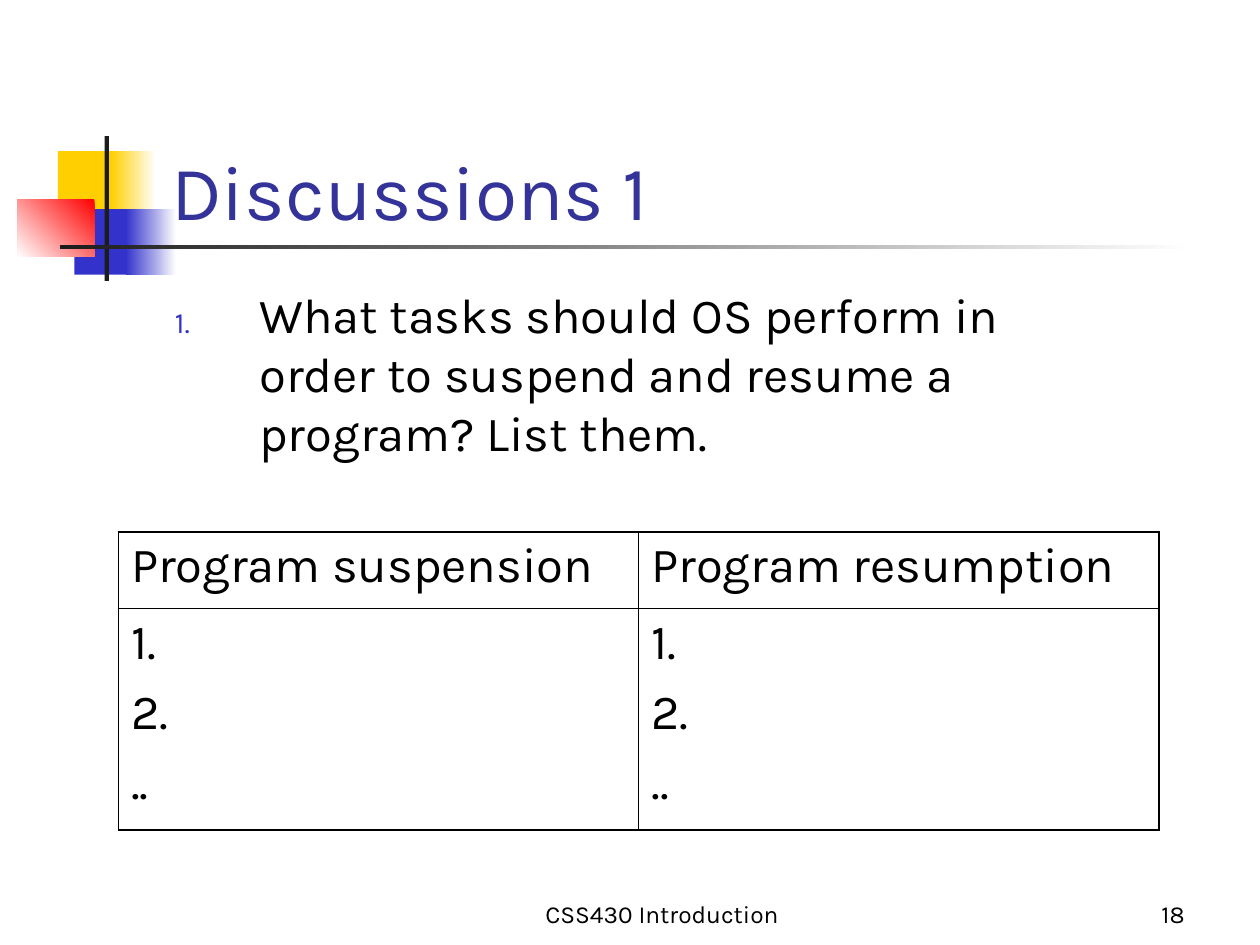
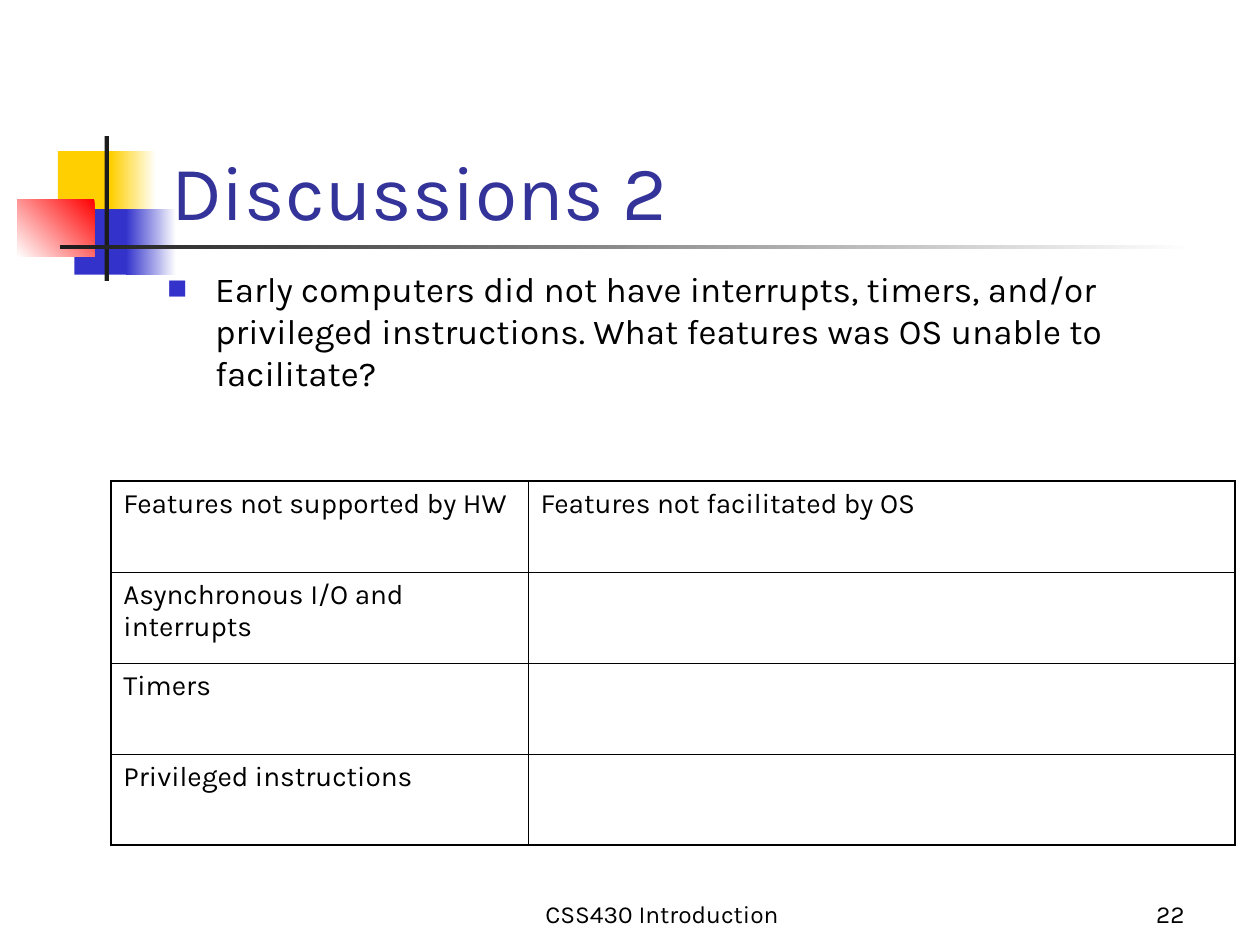
from dataclasses import dataclass
from typing import NamedTuple, Optional

from lxml.etree import SubElement
from pptx import Presentation
from pptx.dml.color import RGBColor
from pptx.enum.shapes import MSO_SHAPE as Shape
from pptx.enum.text import MSO_ANCHOR as Anchor, PP_ALIGN as Align
from pptx.oxml import parse_xml
from pptx.oxml.ns import nsdecls, qn
from pptx.util import Emu, Inches, Pt

WIDTH, HEIGHT = Inches(10), Inches(7.5)
UNIT = WIDTH / 100  # the slide is a grid of 100 columns by 75 rows

FONT = "Karla"
WHITE, BLACK, INK = "FFFFFF", "000000", "1C1C1C"
YELLOW, BLUE, RED, TITLE_BLUE = "FFCF01", "3333CC", "FF0000", "333399"
OUTER_LINE, INNER_LINE = 1.08, 0.45
FOOTER = "CSS430 Introduction"


class Box(NamedTuple):
    """A place on the grid: column, row, columns wide, rows high."""
    col: float
    row: float
    cols: float
    rows: float


@dataclass(frozen=True)
class Block:
    """A motif rectangle; with end set, it fades from color to end."""
    box: Box
    color: str
    end: Optional[str] = None
    angle: int = 180


@dataclass(frozen=True)
class TextStyle:
    size: float
    color: str = BLACK
    align: Align = Align.LEFT
    anchor: Anchor = Anchor.TOP
    before: float = 0


@dataclass(frozen=True)
class Bullet:
    tag: str
    attribute: str
    value: str
    indent: float


@dataclass(frozen=True)
class Grid:
    """A ruled table; rows hold the cell texts."""
    col: float
    row: float
    widths: list[float]
    heights: list[float]
    style: TextStyle
    rows: list[list[str]]


@dataclass(frozen=True)
class Discussion:
    title: str
    question: str
    question_box: Box
    question_style: TextStyle
    bullet: Bullet
    grid: Grid
    number: int


MOTIF = [
    Block(Box(4.6, 12, 4.8, 5.2), YELLOW),
    Block(Box(8.8, 12, 3.6, 5.2), WHITE, YELLOW),
    Block(Box(5.9, 16.6, 4.6, 5.2), BLUE),
    Block(Box(10, 16.6, 4, 5.2), WHITE, BLUE),
    Block(Box(1.4, 15.8, 6.1, 4.6), RED, WHITE, 135),
    Block(Box(8.3, 10.8, 0.35, 11.5), INK),
    Block(Box(4.8, 19.45, 90, 0.35), WHITE, INK),
]

TITLE_BOX = Box(12.6, 6.7, 85.2, 12.5)
FOOTER_BOX = Box(36.7, 69.2, 31.7, 5)
NUMBER_BOX = Box(74.2, 69.2, 20.8, 5)
TITLE_STYLE = TextStyle(44, TITLE_BLUE, anchor=Anchor.BOTTOM)
FOOTER_STYLE = TextStyle(14, align=Align.CENTER, anchor=Anchor.BOTTOM)
NUMBER_STYLE = TextStyle(14, align=Align.RIGHT, anchor=Anchor.BOTTOM)

STEPS = "1.\n2.\n.."

DISCUSSIONS = [
    Discussion(
        "Discussions 1",
        "What tasks should OS perform in order to suspend and resume a program? "
        "List them.",
        Box(12.9, 22.1, 77.1, 21.7), TextStyle(28, before=7),
        Bullet("a:buAutoNum", "type", "arabicPeriod", 6.7),
        Grid(9.4, 42.2, [41.3] * 2, [6.1, 17.6], TextStyle(28, before=7),
             [["Program suspension", "Program resumption"], [STEPS] * 2]),
        18),
    Discussion(
        "Discussions 2",
        "Early computers did not have interrupts, timers, and/or privileged "
        "instructions. What features was OS unable to facilitate?",
        Box(12.3, 20.7, 81.7, 12.2), TextStyle(20, before=5),
        Bullet("a:buChar", "char", "■", 3.8),
        Grid(8.8, 38.2, [33.1, 56.1], [7.22] * 4, TextStyle(16, before=4),
             [["Features not supported by HW", "Features not facilitated by OS"],
              ["Asynchronous I/O and interrupts", ""],
              ["Timers", ""],
              ["Privileged instructions", ""]]),
        22),
]


def rgb(color: str) -> RGBColor:
    return RGBColor.from_string(color)


def length(units: float) -> Emu:
    return Emu(round(units * UNIT))


def place(box: Box) -> list[Emu]:
    return [length(v) for v in box]


def draw_block(slide, block: Block) -> None:
    sp = slide.shapes.add_shape(Shape.RECTANGLE, *place(block.box))
    sp.shadow.inherit = False
    sp.line.fill.background()
    if block.end is None:
        sp.fill.solid()
        sp.fill.fore_color.rgb = rgb(block.color)
        return
    sp.fill.gradient()
    sp.fill.gradient_angle = 360 - block.angle
    for stop, color in zip(sp.fill.gradient_stops, (block.color, block.end)):
        stop.color.rgb = rgb(color)


def write(tf, text: str, style: TextStyle) -> None:
    tf.text = text
    for p in tf.paragraphs:
        p.alignment = style.align
        p.space_before = Pt(style.before)
        p.font.size = Pt(style.size)
        for r in p.runs:
            r.font.name = FONT
            r.font.size = Pt(style.size)
            r.font.color.rgb = rgb(style.color)


def add_text(slide, box: Box, text: str, style: TextStyle):
    tf = slide.shapes.add_textbox(*place(box)).text_frame
    tf.word_wrap = True
    tf.vertical_anchor = style.anchor
    write(tf, text, style)
    return tf


def add_bullet(p, bullet: Bullet) -> None:
    props = p._p.get_or_add_pPr()
    indent = length(bullet.indent)
    props.set("marL", str(indent))
    props.set("indent", str(-indent))
    SubElement(SubElement(props, qn("a:buClr")), qn("a:srgbClr")).set("val", BLUE)
    SubElement(props, qn("a:buSzPct")).set("val", "60000")
    SubElement(props, qn("a:buFont")).set("typeface", FONT)
    SubElement(props, qn(bullet.tag)).set(bullet.attribute, bullet.value)


def rule_cell(cell, outer: dict[str, bool]) -> None:
    """Draw the cell's borders, heavier on the table's outer sides."""
    props = cell._tc.get_or_add_tcPr()
    for i, (side, is_outer) in enumerate(outer.items()):
        width = Pt(OUTER_LINE if is_outer else INNER_LINE)
        props.insert(i, parse_xml(
            f'<a:ln{side} {nsdecls("a")} w="{width}"><a:solidFill>'
            f'<a:srgbClr val="{BLACK}"/></a:solidFill></a:ln{side}>'))


def add_grid(slide, grid: Grid) -> None:
    n_rows, n_cols = len(grid.heights), len(grid.widths)
    box = Box(grid.col, grid.row, sum(grid.widths), sum(grid.heights))
    table = slide.shapes.add_table(n_rows, n_cols, *place(box)).table
    table.first_row = table.horz_banding = False
    for column, width in zip(table.columns, grid.widths):
        column.width = length(width)
    for row, height in zip(table.rows, grid.heights):
        row.height = length(height)
    for i, texts in enumerate(grid.rows):
        for j, text in enumerate(texts):
            cell = table.cell(i, j)
            cell.fill.background()
            write(cell.text_frame, text, grid.style)
            rule_cell(cell, {"L": j == 0, "R": j == n_cols - 1,
                             "T": i == 0, "B": i == n_rows - 1})


def add_discussion(prs, talk: Discussion) -> None:
    slide = prs.slides.add_slide(prs.slide_layouts[6])
    for block in MOTIF:
        draw_block(slide, block)
    add_text(slide, TITLE_BOX, talk.title, TITLE_STYLE)
    tf = add_text(slide, talk.question_box, talk.question, talk.question_style)
    add_bullet(tf.paragraphs[0], talk.bullet)
    add_grid(slide, talk.grid)
    add_text(slide, FOOTER_BOX, FOOTER, FOOTER_STYLE)
    add_text(slide, NUMBER_BOX, str(talk.number), NUMBER_STYLE)


def main() -> None:
    prs = Presentation()
    prs.slide_width, prs.slide_height = WIDTH, HEIGHT
    for talk in DISCUSSIONS:
        add_discussion(prs, talk)
    prs.save("out.pptx")


if __name__ == "__main__":
    main()
